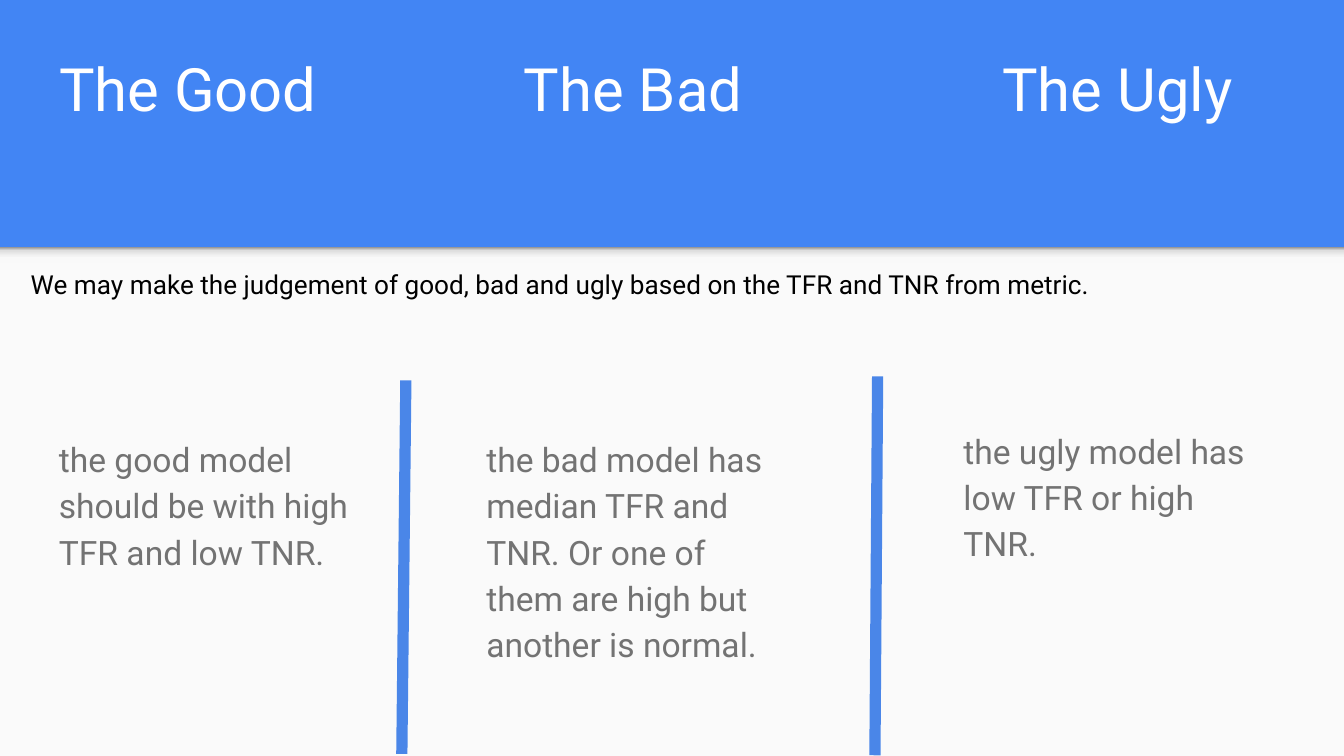
import copy

import pptx
import pptx.dml.color
import pptx.enum.shapes
import pptx.enum.text
import pptx.oxml
import pptx.oxml.ns
import pptx.util

Inches = pptx.util.Inches
TOP = pptx.enum.text.MSO_ANCHOR.TOP
BOTTOM = pptx.enum.text.MSO_ANCHOR.BOTTOM

SLIDE_WIDTH = 10
SLIDE_HEIGHT = SLIDE_WIDTH * 9 / 16
BAND_HEIGHT = 1.84

# heading, heading left, heading width, description, description left, top
COLUMNS = [
    ("The Good", 0.34, 2.34,
     "the good model should be with high TFR and low TNR.", 0.34, 3.12),
    ("The Bad", 3.8, 1.88,
     "the bad model has median TFR and TNR. Or one of them are high but another is normal.",
     3.52, 3.12),
    ("The Ugly", 7.36, 2.02,
     "the ugly model has low TFR or high TNR.", 7.07, 3.06),
]
DIVIDERS = [(3.02, 2.83, 2.99, 5.61), (6.53, 2.8, 6.51, 5.62)]
SHADE_STOPS = [(0, "F9F9F9"), (0.36, "F9F9F9"), (0.8, "DEDEDE"), (1, "999999")]


def color(value):
    return pptx.dml.color.RGBColor.from_string(value)


def add_rectangle(slide, left, top, width, height):
    shape = slide.shapes.add_shape(
        pptx.enum.shapes.MSO_SHAPE.RECTANGLE,
        Inches(left), Inches(top), Inches(width), Inches(height))
    shape.shadow.inherit = False
    shape.line.fill.background()
    return shape


def fill_gradient(shape, stops):
    """Fill from bottom to top with (position, colour) stops."""
    shape.fill.gradient()
    shape.fill.gradient_angle = 90
    stop_list = shape._element.spPr.find(".//" + pptx.oxml.ns.qn("a:gsLst"))
    while len(stop_list) < len(stops):
        stop_list.append(copy.deepcopy(stop_list[0]))
    for stop, (position, value) in zip(shape.fill.gradient_stops, stops):
        stop.position = position
        stop.color.rgb = color(value)


def add_divider(slide, start_x, start_y, end_x, end_y):
    connector = slide.shapes.add_connector(
        pptx.enum.shapes.MSO_CONNECTOR.STRAIGHT,
        Inches(start_x), Inches(start_y), Inches(end_x), Inches(end_y))
    connector.line.color.rgb = color("4A86E8")
    connector.line.width = pptx.util.Pt(6)
    connector._element.spPr.append(pptx.oxml.parse_xml(
        f'<a:effectLst {pptx.oxml.ns.nsdecls("a")}/>'))


def write_text(slide, text, left, top, width, height, *, size, value, anchor=TOP,
               line_spacing=None, space_after=None, placeholder=None):
    """Write into the placeholder if one is given, otherwise into a new text box."""
    shape = placeholder or slide.shapes.add_textbox(0, 0, 0, 0)
    shape.left, shape.top = Inches(left), Inches(top)
    shape.width, shape.height = Inches(width), Inches(height)
    frame = shape.text_frame
    frame.word_wrap = True
    frame.auto_size = pptx.enum.text.MSO_AUTO_SIZE.NONE
    frame.vertical_anchor = anchor
    frame.margin_left = frame.margin_right = Inches(0.1)
    frame.margin_top = frame.margin_bottom = Inches(0.1)
    paragraph = frame.paragraphs[0]
    paragraph.alignment = pptx.enum.text.PP_ALIGN.LEFT
    paragraph.line_spacing = line_spacing
    if space_after is not None:
        paragraph.space_after = pptx.util.Pt(space_after)
    run = paragraph.add_run()
    run.text = text
    run.font.name = "Roboto"
    run.font.size = pptx.util.Pt(size)
    run.font.color.rgb = color(value)


def main():
    presentation = pptx.Presentation()
    presentation.slide_width = Inches(SLIDE_WIDTH)
    presentation.slide_height = Inches(SLIDE_HEIGHT)
    slide = presentation.slides.add_slide(presentation.slide_layouts[5])
    slide.background.fill.solid()
    slide.background.fill.fore_color.rgb = color("4285F4")

    panel = add_rectangle(slide, 0, BAND_HEIGHT, SLIDE_WIDTH, SLIDE_HEIGHT - BAND_HEIGHT)
    panel.fill.solid()
    panel.fill.fore_color.rgb = color("FAFAFA")
    fill_gradient(add_rectangle(slide, 0, BAND_HEIGHT, SLIDE_WIDTH, 0.12), SHADE_STOPS)

    for divider in DIVIDERS:
        add_divider(slide, *divider)

    placeholder = slide.shapes.title
    for heading, heading_left, heading_width, description, left, top in COLUMNS:
        write_text(slide, heading, heading_left, 0.18, heading_width, 0.84,
                   size=32, value="FFFFFF", anchor=BOTTOM, line_spacing=1.0,
                   placeholder=placeholder)
        placeholder = None
        write_text(slide, description, left, top, 2.45, 2.17,
                   size=18, value="737373", line_spacing=1.15, space_after=16)

    write_text(slide,
               "We may make the judgement of good, bad and ugly based on the TFR and TNR from metric.",
               0.13, 1.9, 9.48, 0.84, size=14, value="000000")
    presentation.save("out.pptx")


if __name__ == "__main__":
    main()
